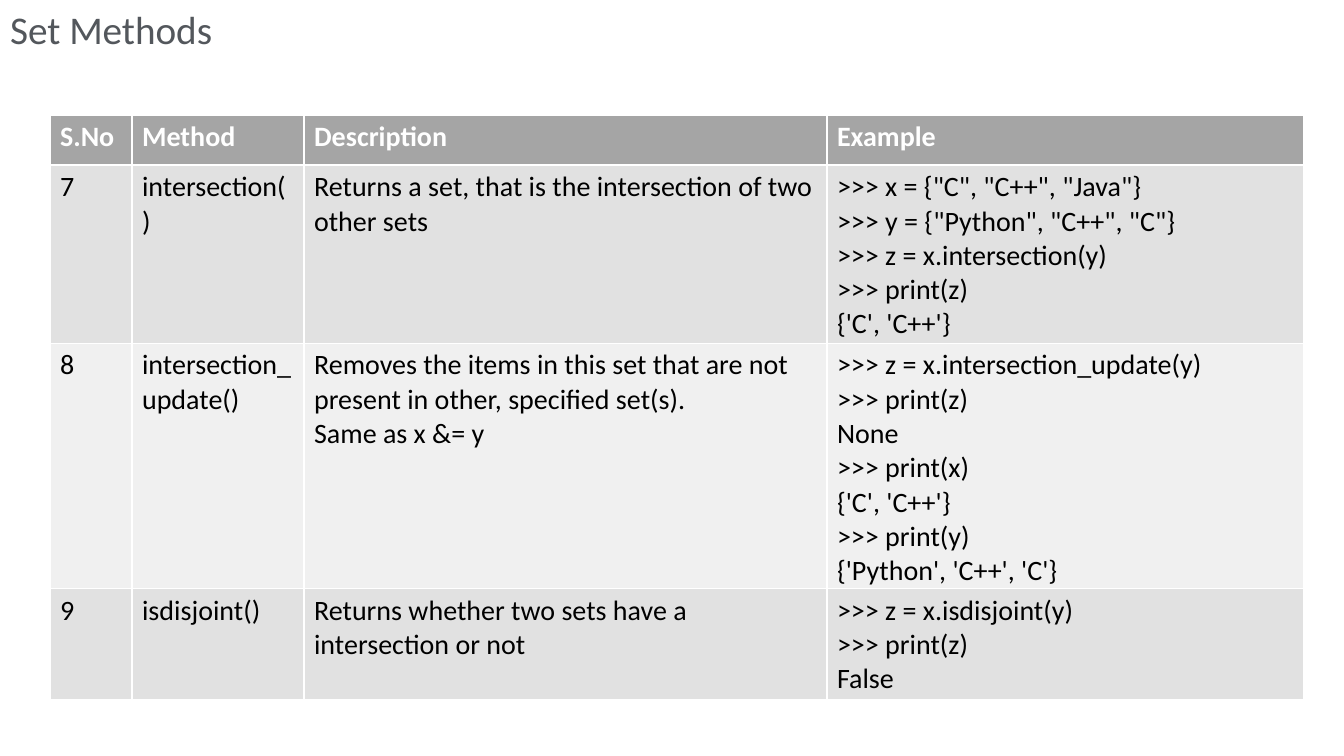
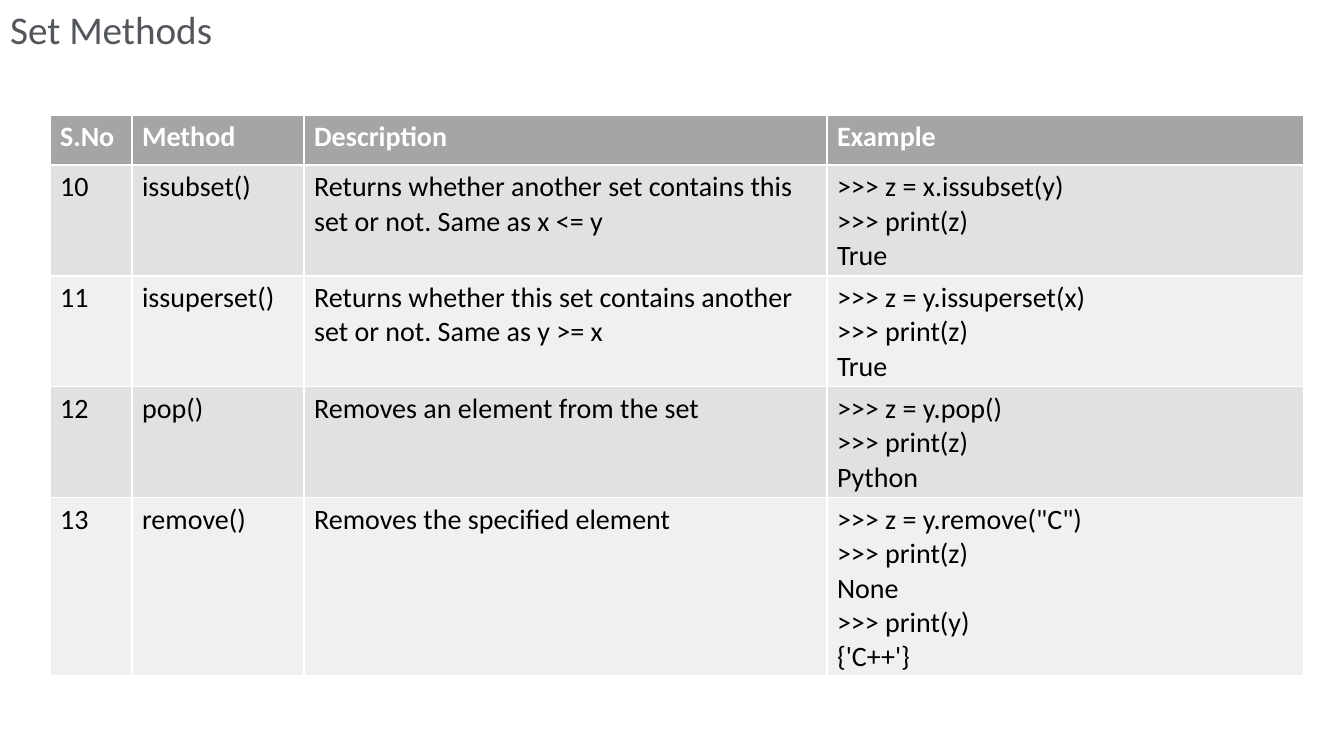
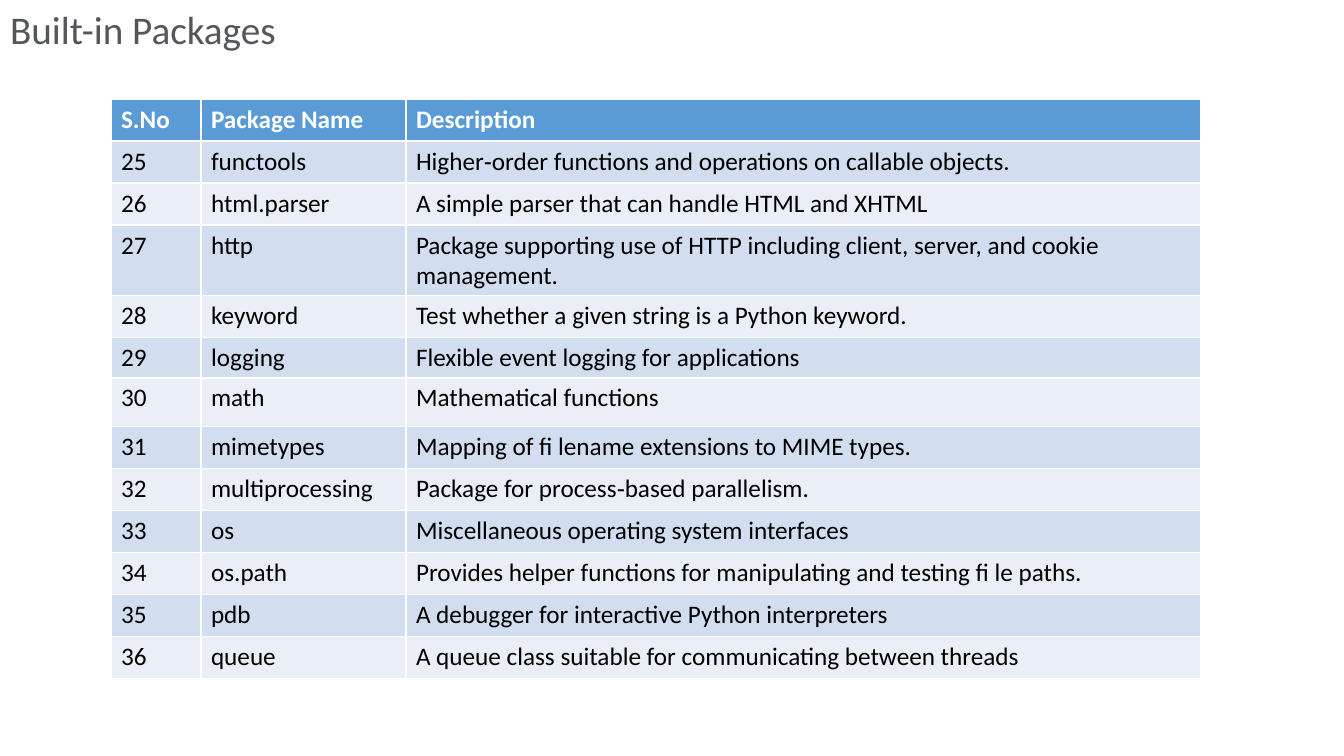
from pptx import Presentation
from pptx.dml.color import RGBColor
from pptx.enum.text import MSO_ANCHOR, MSO_AUTO_SIZE, PP_ALIGN
from pptx.util import Emu, Pt

# Shared look
EMU_PER_PX = 12192000 / 1344
FONT = "Calibri"
TITLE_COLOR = RGBColor(0x53, 0x57, 0x5C)
WHITE = RGBColor(0xFF, 0xFF, 0xFF)
BLACK = RGBColor(0x00, 0x00, 0x00)
GRAY_HEADER = RGBColor(0xA5, 0xA5, 0xA5)
GRAY_BANDS = (RGBColor(0xE1, 0xE1, 0xE1), RGBColor(0xF0, 0xF0, 0xF0))
BLUE_HEADER = RGBColor(0x5B, 0x9B, 0xD5)
BLUE_BANDS = (RGBColor(0xD2, 0xDE, 0xEF), RGBColor(0xEA, 0xEF, 0xF7))


def px(length):
    return Emu(round(length * EMU_PER_PX))


def write(text_frame, text, size, color, bold=False):
    """Fill a text frame, one paragraph per line of text."""
    text_frame.text = text
    for paragraph in text_frame.paragraphs:
        paragraph.alignment = PP_ALIGN.LEFT
        for run in paragraph.runs:
            run.font.name = FONT
            run.font.size = Pt(size)
            run.font.bold = bold
            run.font.color.rgb = color


# Table content
method_header = ("S.No", "Method", "Description", "Example")
intersection_methods = [
    ("7", "intersection()",
     "Returns a set, that is the intersection of two other sets",
     """>>> x = {"C", "C++", "Java"}
>>> y = {"Python", "C++", "C"}
>>> z = x.intersection(y)
>>> print(z)
{'C', 'C++'}"""),
    ("8", "intersection_update()",
     "Removes the items in this set that are not present in other, "
     "specified set(s).\nSame as x &= y",
     """>>> z = x.intersection_update(y)
>>> print(z)
None
>>> print(x)
{'C', 'C++'}
>>> print(y)
{'Python', 'C++', 'C'}"""),
    ("9", "isdisjoint()",
     "Returns whether two sets have a intersection or not",
     ">>> z = x.isdisjoint(y)\n>>> print(z)\nFalse"),
]
subset_methods = [
    ("10", "issubset()",
     "Returns whether another set contains this set or not. Same as x <= y",
     ">>> z = x.issubset(y)\n>>> print(z)\nTrue"),
    ("11", "issuperset()",
     "Returns whether this set contains another set or not. Same as y >= x",
     ">>> z = y.issuperset(x)\n>>> print(z)\nTrue"),
    ("12", "pop()", "Removes an element from the set",
     ">>> z = y.pop()\n>>> print(z)\nPython"),
    ("13", "remove()", "Removes the specified element",
     """>>> z = y.remove("C")
>>> print(z)
None
>>> print(y)
{'C++'}"""),
]
package_header = ("S.No", "Package Name", "Description")
packages = [
    ("25", "functools", "Higher‐order functions and operations on callable objects."),
    ("26", "html.parser", "A simple parser that can handle HTML and XHTML"),
    ("27", "http", "Package supporting use of HTTP including client, server, "
     "and cookie\nmanagement."),
    ("28", "keyword", "Test whether a given string is a Python keyword."),
    ("29", "logging", "Flexible event logging for applications"),
    ("30", "math", "Mathematical functions"),
    ("31", "mimetypes", "Mapping of fi lename extensions to MIME types."),
    ("32", "multiprocessing", "Package for process‐based parallelism."),
    ("33", "os", "Miscellaneous operating system interfaces"),
    ("34", "os.path", "Provides helper functions for manipulating and testing fi le paths."),
    ("35", "pdb", "A debugger for interactive Python interpreters"),
    ("36", "queue", "A queue class suitable for communicating between threads"),
]

# Table styles: place, column widths, text size and fills
method_style = dict(left=50, top=115, widths=(82, 172, 523, 477), size=20,
                    header_fill=GRAY_HEADER, bands=GRAY_BANDS)
package_style = dict(left=111, top=99, widths=(90, 205, 795), size=18,
                     header_fill=BLUE_HEADER, bands=BLUE_BANDS)

# Title, title width, rows, least row heights (rows grow with their text), style
slides = [
    ("Set Methods", 223, [method_header, *intersection_methods],
     [50, 78, 78, 47], method_style),
    ("Set Methods", 223, [method_header, *subset_methods],
     [50, 78, 78, 47, 47], method_style),
    ("Built-in Packages", 287, [package_header, *packages],
     [42] * 5 + [33, 49] + [42] * 6, package_style),
]

presentation = Presentation()
presentation.slide_width = px(1344)
presentation.slide_height = px(756)
title_only = presentation.slide_layouts[5]

for title_text, title_width, rows, heights, style in slides:
    slide = presentation.slides.add_slide(title_only)

    # Title
    title = slide.shapes.title
    title.left, title.top = px(0), px(0)
    title.width, title.height = px(title_width), px(57)
    title.text_frame.word_wrap = False
    title.text_frame.auto_size = MSO_AUTO_SIZE.SHAPE_TO_FIT_TEXT
    title.text_frame.vertical_anchor = MSO_ANCHOR.TOP
    write(title.text_frame, title_text, 28, TITLE_COLOR)

    # Table
    widths = style["widths"]
    table = slide.shapes.add_table(
        len(rows), len(widths), px(style["left"]), px(style["top"]),
        px(sum(widths)), px(sum(heights))).table
    for column, width in zip(table.columns, widths):
        column.width = px(width)
    for row_index, (row, height) in enumerate(zip(rows, heights)):
        table.rows[row_index].height = px(height)
        is_header = row_index == 0
        fill = style["header_fill"] if is_header else style["bands"][(row_index - 1) % 2]
        for column_index, text in enumerate(row):
            cell = table.cell(row_index, column_index)
            cell.fill.solid()
            cell.fill.fore_color.rgb = fill
            write(cell.text_frame, text, style["size"],
                  WHITE if is_header else BLACK, bold=is_header)

presentation.save("out.pptx")
